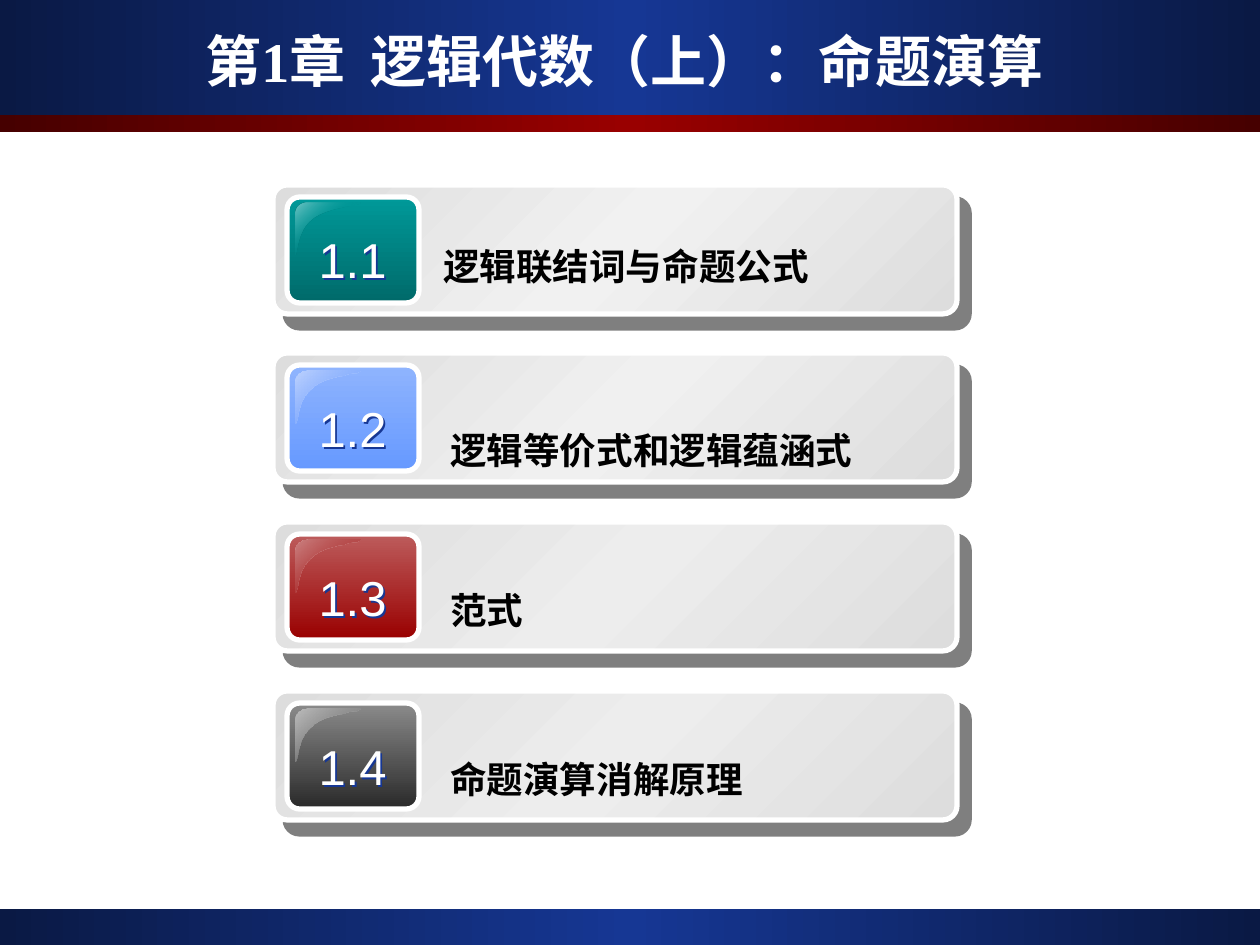
from pptx import Presentation
from pptx.dml.color import RGBColor
from pptx.enum.shapes import MSO_SHAPE
from pptx.enum.text import MSO_ANCHOR, MSO_AUTO_SIZE, PP_ALIGN
from pptx.oxml import parse_xml
from pptx.oxml.ns import nsdecls, qn
from pptx.util import Emu, Pt

PX = 914400 / 126
COLORS = {
    "navy": "0A1944", "blue": "163794", "maroon": "460000", "red": "990000",
    "silver": "DDDDDD", "white": "FFFFFF", "black": "000000",
}
TITLE_FONT = {"name": "Times New Roman", "size": Pt(32), "bold": True}
NUMBER_FONT = {"name": "Arial", "size": Pt(28)}
LABEL_FONT = {"name": "Arial", "size": Pt(36), "bold": True}
FRAME = {"vertical_anchor": MSO_ANCHOR.TOP, "auto_size": MSO_AUTO_SIZE.SHAPE_TO_FIT_TEXT}
TITLE_FRAME = {"vertical_anchor": MSO_ANCHOR.MIDDLE, "word_wrap": True}
GLARE_OUTLINE = [
    (12, 0), (5, 0), (0, 5), (0, 11), (0, 53),
    (3, 53), (1, 28), (18, 16), (34, 4), (66, 4), (64, 0),
]
GLARE_CURVE_STARTS = (0, 4, 7)


def style_shape(shape, stops, angle, border=None):
    shape.shadow.inherit = False
    shape.fill.gradient()
    old_fill = shape._element.spPr.find(qn("a:gradFill"))
    stop_xml = "".join(
        f'<a:gs pos="{position * 1000}"><a:srgbClr val="{color}">'
        + ("" if alpha == 100 else f'<a:alpha val="{alpha * 1000}"/>')
        + "</a:srgbClr></a:gs>"
        for position, color, alpha in stops
    )
    old_fill.getparent().replace(old_fill, parse_xml(
        f'<a:gradFill {nsdecls("a")} rotWithShape="1"><a:gsLst>{stop_xml}</a:gsLst>'
        f'<a:lin ang="{angle * 60000}" scaled="0"/></a:gradFill>'))
    if border:
        shape.line.color.rgb = RGBColor.from_string(border)
        shape.line.width = Pt(3)
    else:
        shape.line.fill.background()


def add_text(parent, box, text, font_format, frame_format, color, align, spacing):
    text_box = parent.shapes.add_textbox(*[Emu(round(v * PX)) for v in box])
    frame = text_box.text_frame
    for key, value in frame_format.items():
        setattr(frame, key, value)
    paragraph = frame.paragraphs[0]
    paragraph.alignment = align
    if spacing != 1:
        paragraph.line_spacing = spacing
    run = paragraph.add_run()
    run.text = text
    for key, value in font_format.items():
        setattr(run.font, key, value)
    run.font.color.rgb = RGBColor.from_string(color)
    return text_box, run


prs = Presentation()
prs.slide_width, prs.slide_height = Emu(round(1260 * PX)), Emu(round(945 * PX))
slide = prs.slides.add_slide(prs.slide_layouts[6])

for top, height, edge, middle in [
    (909, 36, "navy", "blue"), (0, 115, "navy", "blue"), (115, 17, "maroon", "red"),
]:
    band = slide.shapes.add_shape(
        MSO_SHAPE.RECTANGLE, *[Emu(round(v * PX)) for v in (0, top, 1260, height)])
    style_shape(band, [(0, COLORS[edge], 100), (50, COLORS[middle], 100),
                       (100, COLORS[edge], 100)], 180)

add_text(slide, (42, 21, 1165, 78), "第1章  逻辑代数（上）：命题演算", TITLE_FONT, TITLE_FRAME,
         COLORS["white"], PP_ALIGN.CENTER, 1)

sections = [
    ("1.1", "逻辑联结词与命题公式", "F1F1F1", ("009999", "006A6A"),
     [(0, "73C6C6", 100), (50, "009999", 0), (100, "73C6C6", 100)],
     (45, 66, 0.9), (431, 32, 490, 64, 0.6)),
    ("1.2", "逻辑等价式和逻辑蕴涵式", "F0F0F0", ("8FB4FE", "6699FF"),
     [(0, "6699FF", 0), (100, "BDD2FE", 100)],
     (46, 66, 0.9), (438, 18, 503, 107, 1.1)),
    ("1.3", "范式", "EDEDED", ("BD5C5C", "990000"),
     [(0, "990000", 0), (100, "CC8282", 100)],
     (46, 66, 0.9), (438, 18, 503, 100, 1)),
    ("1.4", "命题演算消解原理", "EDEDED", ("8B8B8B", "292929"),
     [(0, "777777", 0), (100, "BCBCBC", 100)],
     (51, 60, 0.8), (438, 18, 503, 100, 1)),
]

for index, (number, label, shine, badge_colors, glare_stops,
            number_place, label_place) in enumerate(sections):
    top = 185 + 506 * index // 3
    section = slide.shapes.add_group_shape()

    card = section.shapes.add_shape(
        MSO_SHAPE.ROUNDED_RECTANGLE, *[Emu(round(v * PX)) for v in (273, top, 684, 129)])
    card.adjustments[0] = 0.11
    style_shape(card, [(0, COLORS["silver"], 100), (50, shine, 100),
                       (100, COLORS["silver"], 100)], 225, COLORS["white"])
    card._element.spPr.find(qn("a:effectLst")).append(parse_xml(
        f'<a:outerShdw {nsdecls("a")} blurRad="0" dist="{Pt(10.6)}" dir="{49 * 60000}" '
        f'algn="ctr" rotWithShape="0"><a:srgbClr val="{COLORS["black"]}">'
        '<a:alpha val="50000"/></a:srgbClr></a:outerShdw>'))

    badge = section.shapes.add_shape(
        MSO_SHAPE.ROUNDED_RECTANGLE, *[Emu(round(v * PX)) for v in (287, top + 12, 132, 106)])
    badge.adjustments[0] = 0.12
    style_shape(badge, [(0, badge_colors[0], 100), (100, badge_colors[1], 100)],
                90, COLORS["white"])

    corners = [(round((296 + x) * PX), round((top + 18 + y) * PX)) for x, y in GLARE_OUTLINE]
    builder = section.shapes.build_freeform(*corners[0], scale=1.0)
    builder.add_line_segments(corners[1:], close=True)
    glare = builder.convert_to_shape()
    lines = glare._element.spPr.findall(".//" + qn("a:lnTo"))
    for start in GLARE_CURVE_STARTS:
        curve = parse_xml(f'<a:cubicBezTo {nsdecls("a")}/>')
        lines[start].addprevious(curve)
        for line in lines[start:start + 3]:
            curve.append(line[0])
            line.getparent().remove(line)
    style_shape(glare, glare_stops, 225)

    offset, height, spacing = number_place
    number_box, _ = add_text(section, (306, top + offset, 93, height), number, NUMBER_FONT,
                             FRAME | {"word_wrap": False}, COLORS["white"],
                             PP_ALIGN.CENTER, spacing)
    number_box.shadow.inherit = False
    number_box._element.spPr.find(qn("a:effectLst")).append(parse_xml(
        f'<a:outerShdw {nsdecls("a")} blurRad="0" dist="{Pt(1.5)}" dir="2700000">'
        f'<a:srgbClr val="{COLORS["blue"]}"/></a:outerShdw>'))

    left, offset, width, height, spacing = label_place
    _, label_run = add_text(section, (left, top + offset, width, height), label, LABEL_FONT,
                            FRAME | {"word_wrap": True}, COLORS["black"],
                            PP_ALIGN.LEFT, spacing)
    label_run._r.get_or_add_rPr().set("baseline", "-25000")

prs.save("out.pptx")
